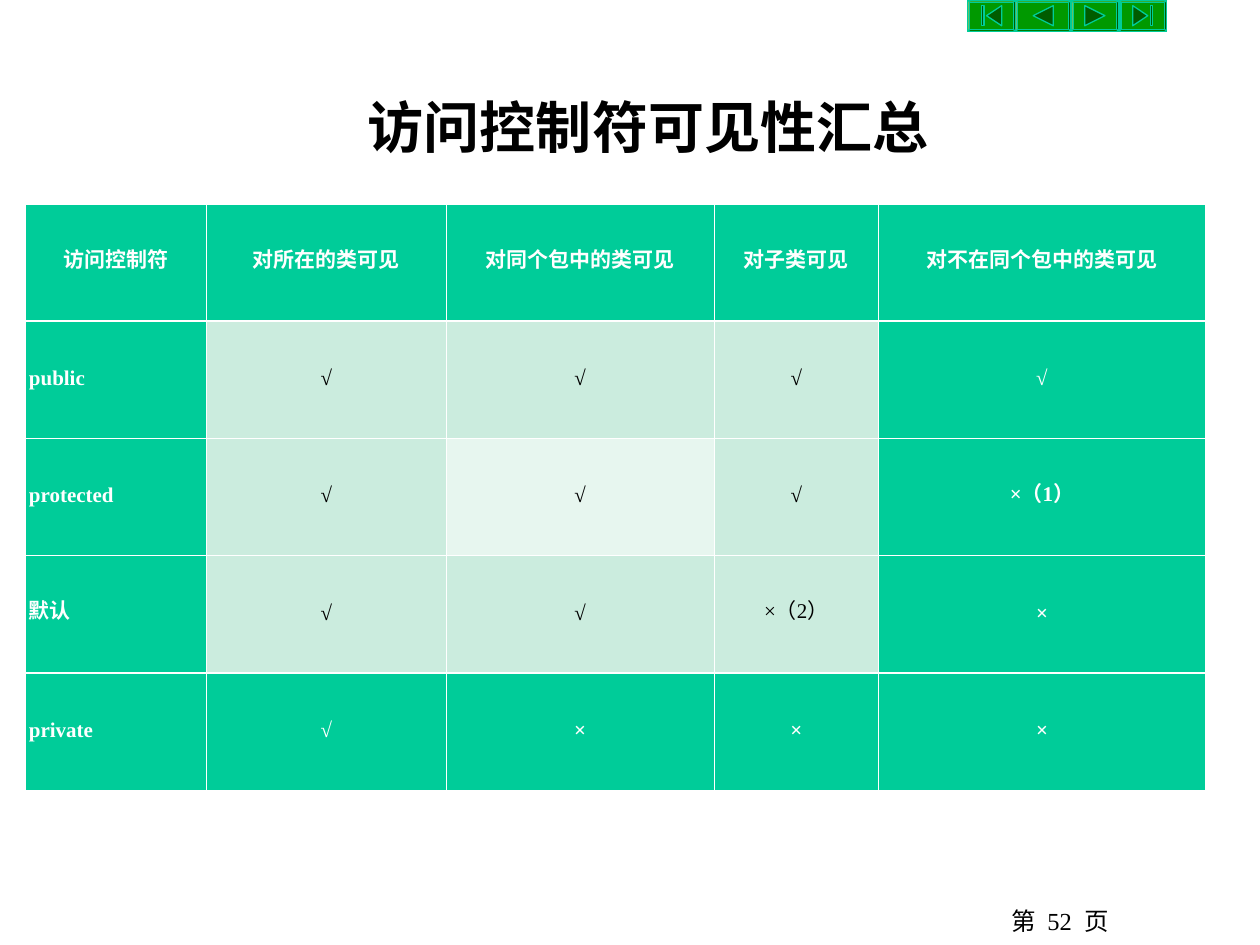
from lxml import etree
from pptx import Presentation
from pptx.dml.color import RGBColor
from pptx.enum.shapes import MSO_SHAPE
from pptx.enum.text import MSO_ANCHOR, MSO_AUTO_SIZE, PP_ALIGN
from pptx.oxml.ns import qn
from pptx.util import Inches, Pt

LEFT, CENTER = PP_ALIGN.LEFT, PP_ALIGN.CENTER
TOP, MIDDLE = MSO_ANCHOR.TOP, MSO_ANCHOR.MIDDLE
NO_AUTOFIT = MSO_AUTO_SIZE.NONE
BEVEL = MSO_SHAPE.BEVEL

LATIN_FONT, CHINESE_FONT = "Times New Roman", "Noto Sans CJK SC"
COLORS = {
    "black": "000000",
    "white": "FFFFFF",
    "green": "00CC99",
    "pale": "CBECDE",
    "palest": "E7F6EF",
    "button": "009900",
    "icon": "005C00",
}

TABLE_ROWS = [
    ["访问控制符", "对所在的类可见", "对同个包中的类可见", "对子类可见", "对不在同个包中的类可见"],
    ["public", "√", "√", "√", "√"],
    ["protected", "√", "√", "√", "×（1）"],
    ["默认", "√", "√", "×（2）", "×"],
    ["private", "√", "×", "×", "×"],
]
COLUMN_WIDTHS = [1.44, 1.9, 2.13, 1.3, 2.6]
ROW_HEIGHT = 0.93
THIN, THICK = 0.45, 1.47

# Button width, then triangle tip, triangle base and bar edges from its middle
BUTTONS = [
    (0.38, -0.04, 0.08, (-0.08, -0.06)),
    (0.44, -0.08, 0.08, None),
    (0.38, 0.08, -0.08, None),
    (0.38, 0.04, -0.08, (0.06, 0.08)),
]


def color(name):
    return RGBColor.from_string(COLORS[name])


def write_text(text_frame, text, size, font=LATIN_FONT, color_name="black", bold=False,
               align=LEFT, line_spacing=None, space_after=None):
    paragraph = text_frame.paragraphs[0]
    paragraph.alignment = align
    paragraph.line_spacing = line_spacing
    paragraph.space_after = space_after
    run = paragraph.add_run()
    run.text = text
    run.font.size = Pt(size)
    run.font.bold = bold
    run.font.color.rgb = color(color_name)
    run.font.name = font
    east_asian = etree.SubElement(run.font._element, qn("a:ea"))
    east_asian.set("typeface", CHINESE_FONT)


def paint(shape, fill_name):
    shape.shadow.inherit = False
    shape.fill.solid()
    shape.fill.fore_color.rgb = color(fill_name)
    shape.line.color.rgb = color("green")
    shape.line.width = Pt(0.75)


def add_button(slide, left, top, width, height, tip, base, bar):
    frame = slide.shapes.add_shape(BEVEL, Inches(left), Inches(top), Inches(width), Inches(height))
    frame.adjustments[0] = 0.07
    paint(frame, "button")

    middle_x, middle_y, half = left + width / 2, top + height / 2, 0.08
    outlines = [[(tip, 0), (base, -half), (base, half)]]
    if bar:
        start, end = bar
        outlines.append([(start, -half), (end, -half), (end, half), (start, half)])
    builder = None
    for outline in outlines:
        first, *others = [(Inches(middle_x + x), Inches(middle_y + y)) for x, y in outline]
        if builder is None:
            builder = slide.shapes.build_freeform(*first)
        else:
            builder.move_to(*first)
        builder.add_line_segments(others, close=True)
    paint(builder.convert_to_shape(), "icon")


def add_navigation(slide, left, top, height):
    for width, tip, base, bar in BUTTONS:
        add_button(slide, left, top, width, height, tip, base, bar)
        left += width


def add_title(slide, left, top, width, height):
    title = slide.shapes.title
    title.left, title.top = Inches(left), Inches(top)
    title.width, title.height = Inches(width), Inches(height)
    text_frame = title.text_frame
    text_frame.auto_size = NO_AUTOFIT
    text_frame.word_wrap = True
    text_frame.vertical_anchor = MIDDLE
    write_text(text_frame, "访问控制符可见性汇总", 32, font=CHINESE_FONT, bold=True)


def set_borders(cell, top, bottom):
    properties = cell._tc.get_or_add_tcPr()
    sides = [("a:lnL", THIN), ("a:lnR", THIN), ("a:lnT", top), ("a:lnB", bottom)]
    for position, (tag, width) in enumerate(sides):
        line = etree.Element(qn(tag), w=str(Pt(width)))
        fill = etree.SubElement(line, qn("a:solidFill"))
        etree.SubElement(fill, qn("a:srgbClr"), val=COLORS["white"])
        properties.insert(position, line)


def cell_fill(row, column):
    last = len(TABLE_ROWS) - 1
    if row in (0, last) or column in (0, len(COLUMN_WIDTHS) - 1):
        return "green"
    return "palest" if (row, column) == (2, 2) else "pale"


def add_visibility_table(slide, left, top, width, height):
    row_count = len(TABLE_ROWS)
    table = slide.shapes.add_table(row_count, len(COLUMN_WIDTHS), Inches(left), Inches(top),
                                   Inches(width), Inches(height)).table
    for column, column_width in zip(table.columns, COLUMN_WIDTHS):
        column.width = Inches(column_width)
    thick_edges = (1, row_count - 1)
    for row, texts in enumerate(TABLE_ROWS):
        table.rows[row].height = Inches(ROW_HEIGHT)
        for column, text in enumerate(texts):
            cell = table.cell(row, column)
            fill_name = cell_fill(row, column)
            on_green = fill_name == "green"
            cell.fill.solid()
            cell.fill.fore_color.rgb = color(fill_name)
            cell.vertical_anchor = MIDDLE
            cell.margin_left = cell.margin_right = Inches(0.03)
            top_width, bottom_width = (
                THICK if edge in thick_edges else THIN for edge in (row, row + 1))
            set_borders(cell, top_width, bottom_width)
            write_text(cell.text_frame, text, 12, bold=on_green,
                       color_name="white" if on_green else "black",
                       align=LEFT if row and column == 0 else CENTER,
                       line_spacing=Pt(12), space_after=Pt(1))


def add_page_number(slide, left, top, width, height):
    box = slide.shapes.add_textbox(Inches(left), Inches(top), Inches(width), Inches(height))
    box.text_frame.word_wrap = True
    box.text_frame.vertical_anchor = TOP
    write_text(box.text_frame, "第  52  页", 14, align=CENTER)


def main():
    presentation = Presentation()
    presentation.slide_width, presentation.slide_height = Inches(10), Inches(7.5)
    slide = presentation.slides.add_slide(presentation.slide_layouts[5])
    add_navigation(slide, 7.68, 0, 0.25)
    add_page_number(slide, 6.83, 7.14, 3.17, 0.36)
    add_title(slide, 2.82, 0.68, 4.8, 0.64)
    add_visibility_table(slide, 0.2, 1.62, sum(COLUMN_WIDTHS), ROW_HEIGHT * len(TABLE_ROWS))
    presentation.save("out.pptx")


if __name__ == "__main__":
    main()
